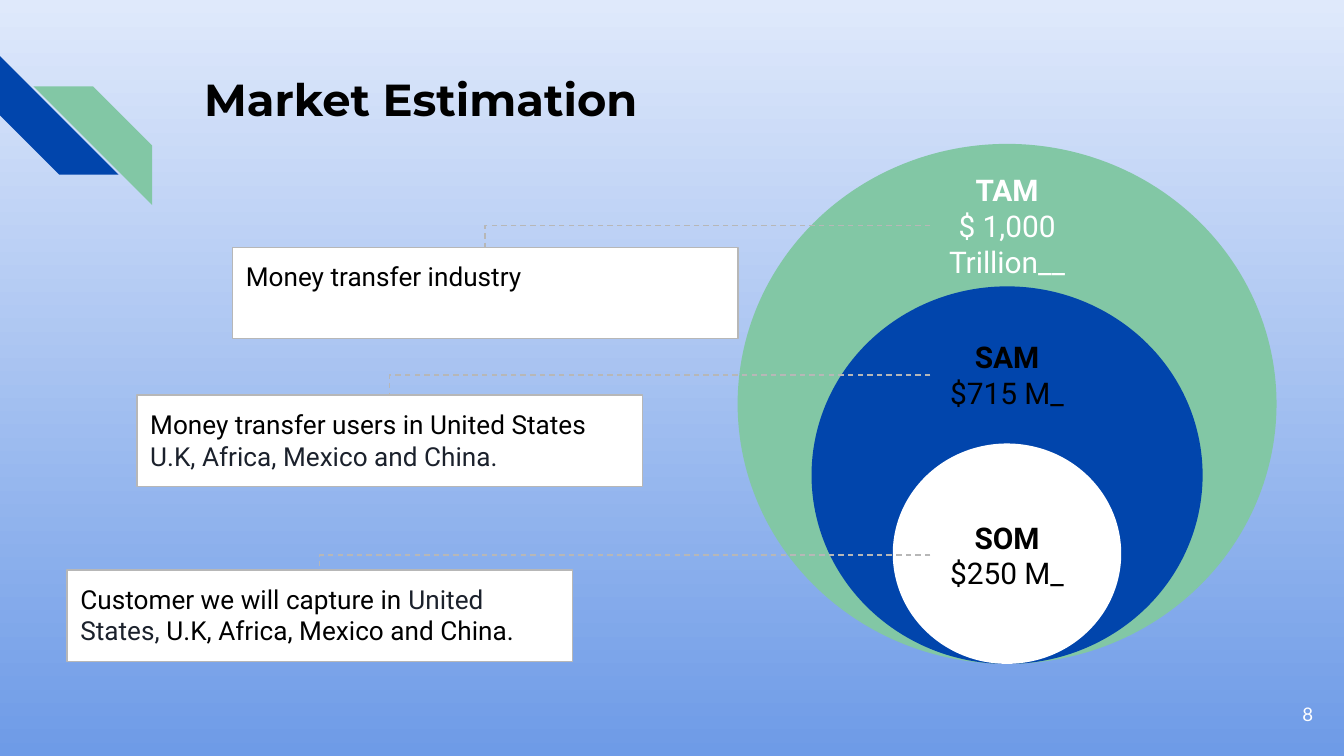
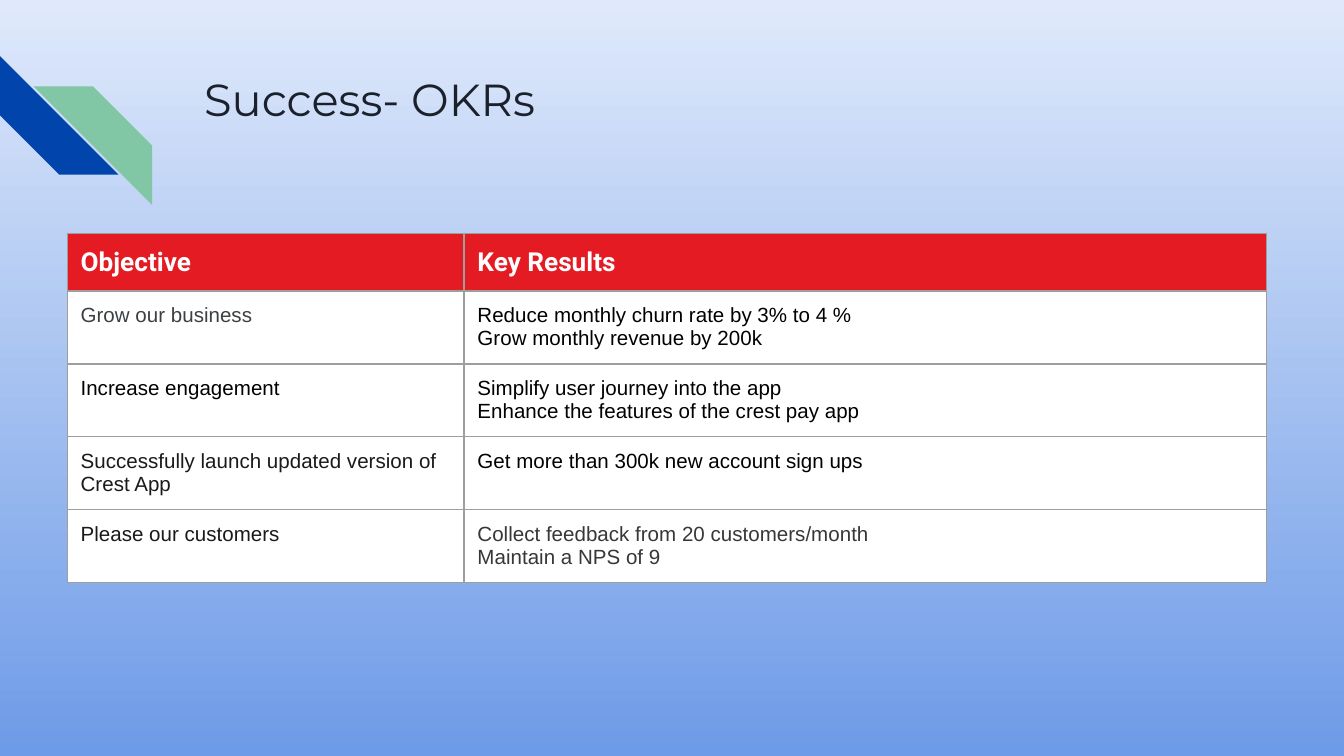
from dataclasses import dataclass

from lxml.etree import SubElement as Sub
from pptx import Presentation
from pptx.dml.color import RGBColor as RGB
from pptx.enum.dml import MSO_LINE as Dash
from pptx.enum.shapes import MSO_CONNECTOR as Conn, MSO_SHAPE as Kind
from pptx.enum.text import MSO_ANCHOR as Anchor, PP_ALIGN as Align
from pptx.oxml.ns import qn
from pptx.util import Pt


@dataclass(frozen=True)
class Theme:
    # Colours
    sky: str = "DFE9FB"
    deep: str = "6E9BE7"
    blue: str = "0145AC"
    green: str = "82C7A5"
    red: str = "E51B24"
    white: str = "FFFFFF"
    black: str = "000000"
    ink: str = "1B212C"
    coal: str = "1A1A1A"
    slate: str = "3C4043"
    smoke: str = "373737"
    rule: str = "B7B7B7"
    grid: str = "9E9E9E"
    # Fonts
    head: str = "Montserrat"
    text: str = "Roboto"
    cell: str = "Arial"
    foot: str = "Lato"
    # Type sizes and measures in points
    big: float = 24
    label: float = 16
    body: float = 14
    small: float = 11
    tiny: float = 10
    pad: float = 7.2
    thin: float = 0.75


class Deck:
    def __init__(self, theme):
        self.theme = theme
        self.prs = Presentation()
        self.prs.slide_width, self.prs.slide_height = Pt(720), Pt(405)
        self.slide = None
        # Shared gradient background
        fill = self.prs.slide_master.background.fill
        fill.gradient()
        fill.gradient_angle = 270
        for stop, tone in zip(fill.gradient_stops, (theme.sky, theme.deep)):
            stop.color.rgb = RGB.from_string(tone)

    def page(self, title, tone, bold=False):
        """Start a slide with the corner stripes and its title."""
        t = self.theme
        self.slide = self.prs.slides.add_slide(self.prs.slide_layouts[5])
        side = 63.6
        stripe = self.shape(Kind.DIAGONAL_STRIPE, 0, 30, side, side, t.blue)
        stripe.rotation = 270
        stripe = self.shape(Kind.DIAGONAL_STRIPE, 18, 46.3, side, side, t.green)
        stripe.element.spPr.find(qn("a:xfrm")).set("flipH", "1")

        head = self.slide.shapes.title
        head.left, head.top = Pt(102.2), Pt(31)
        head.width, head.height = Pt(554.4), Pt(72)
        self.type(head.text_frame, [[(title, tone, bold)]], t.big, t.head)

    def type(self, frame, paras, size, font, align=Align.LEFT,
             anchor=Anchor.TOP):
        """Fill a frame; each paragraph is a list of (text, tone, bold)."""
        frame.word_wrap = True
        frame.vertical_anchor = anchor
        pad = Pt(self.theme.pad)
        frame.margin_left = frame.margin_right = pad
        frame.margin_top = frame.margin_bottom = pad
        for i, runs in enumerate(paras):
            para = frame.add_paragraph() if i else frame.paragraphs[0]
            para.alignment = align
            for text, tone, bold in runs:
                run = para.add_run()
                run.text = text
                run.font.size, run.font.name = Pt(size), font
                run.font.bold = bold
                run.font.color.rgb = RGB.from_string(tone)

    def label(self, x, y, w, h, paras, size, font, align):
        box = self.slide.shapes.add_textbox(Pt(x), Pt(y), Pt(w), Pt(h))
        self.type(box.text_frame, paras, size, font, align, Anchor.MIDDLE)

    def shape(self, kind, x, y, w, h, fill, edge=None):
        item = self.slide.shapes.add_shape(kind, Pt(x), Pt(y), Pt(w), Pt(h))
        item.shadow.inherit = False
        item.fill.solid()
        item.fill.fore_color.rgb = RGB.from_string(fill)
        if edge:
            item.line.color.rgb = RGB.from_string(edge)
            item.line.width = Pt(self.theme.thin)
        else:
            item.line.fill.background()
        return item

    def elbow(self, x1, y1, x2, y2):
        """Dashed link that runs sideways first, then down."""
        link = self.slide.shapes.add_connector(
            Conn.ELBOW, Pt(x1), Pt(y1), Pt(x2), Pt(y2))
        link.line.color.rgb = RGB.from_string(self.theme.rule)
        link.line.width = Pt(self.theme.thin)
        link.line.dash_style = Dash.DASH
        props = link.element.spPr
        props.find(qn("a:prstGeom")).set("prst", "bentConnector2")
        Sub(props, qn("a:effectLst"))

    def border(self, cell):
        props = cell._tc.get_or_add_tcPr()
        for side in ("lnL", "lnR", "lnT", "lnB"):
            line = Sub(props, qn(f"a:{side}"), w=str(Pt(self.theme.thin)))
            Sub(Sub(line, qn("a:solidFill")), qn("a:srgbClr"),
                val=self.theme.grid)

    def table(self, x, y, cols, highs, rows):
        """Two-part rows; the second part spans all the other columns."""
        t = self.theme
        grid = self.slide.shapes.add_table(
            len(rows), len(cols), Pt(x), Pt(y),
            Pt(sum(cols)), Pt(sum(highs))).table
        grid.horz_banding = False
        for col, wide in zip(grid.columns, cols):
            col.width = Pt(wide)
        for r, (row, high) in enumerate(zip(rows, highs)):
            grid.rows[r].height = Pt(high)
            for c in range(len(cols)):
                cell = grid.cell(r, c)
                self.border(cell)
                cell.fill.solid()
                cell.fill.fore_color.rgb = RGB.from_string(
                    t.white if r else t.red)
            grid.cell(r, 1).merge(grid.cell(r, len(cols) - 1))
            size, font = (t.small, t.cell) if r else (t.body, t.text)
            for c, (tone, *lines) in enumerate(row):
                cell = grid.cell(r, c)
                paras = [[(line, tone, not r)] for line in lines]
                self.type(cell.text_frame, paras, size, font)
                cell.margin_left = cell.margin_right = Pt(t.pad)
                cell.margin_top = cell.margin_bottom = Pt(t.pad)
                cell.vertical_anchor = Anchor.TOP if r else Anchor.MIDDLE


def market(deck):
    t = deck.theme
    deck.page("Market Estimation", t.black, True)
    deck.label(667.4, 367.2, 43.2, 31, [[("8", t.white, False)]],
               t.tiny, t.foot, Align.RIGHT)

    # Nested circles that share their lowest point
    mid, base = 539.5, 355.7
    for wide, high, fill in ((288.7, 278.6, t.green), (209.5, 202.3, t.blue),
                             (122.4, 118.1, t.white)):
        deck.shape(Kind.OVAL, mid - wide / 2, base - high, wide, high, fill)

    # Each level: label, link and note
    levels = (
        ("TAM", "$ 1,000 Trillion__", t.white, 93.6, 124.6, 132.5,
         [("Money transfer industry", t.black)]),
        ("SAM", "$715 M_", t.black, 173.5, 73.4, 211.7,
         [("Money transfer users in United States ", t.black),
          ("U.K, Africa, Mexico and China.", t.ink)]),
        ("SOM", "$250 M_", t.black, 270, 36, 305.3,
         [("Customer we will capture in ", t.black),
          ("United States,", t.ink),
          (" U.K, Africa, Mexico and China.", t.black)]),
    )
    wide, high = 82, 54.7
    note_w, note_h = 270.7, 49
    for name, worth, tone, top, x, y, note in levels:
        left = mid - wide / 2
        deck.label(left, top, wide, high,
                   [[(name, tone, True)], [(worth, tone, False)]],
                   t.label, t.text, Align.CENTER)
        deck.elbow(left, top + high / 2, x + note_w / 2, y)
        box = deck.shape(Kind.RECTANGLE, x, y, note_w, note_h,
                         t.white, t.rule)
        runs = [(text, ink, False) for text, ink in note]
        deck.type(box.text_frame, [runs], t.body, t.text)


def goals(deck):
    t = deck.theme
    deck.page("Success- OKRs", t.ink)
    rows = (
        ((t.white, "Objective"), (t.white, "Key Results")),
        ((t.slate, "Grow our business"),
         (t.black, "Reduce monthly churn rate by 3% to 4 %",
          "Grow monthly revenue by 200k")),
        ((t.black, "Increase engagement"),
         (t.black, "Simplify user journey into the app",
          "Enhance the features of the crest pay app")),
        ((t.coal, "Successfully launch updated version of Crest App"),
         (t.black, "Get more than 300k new account sign ups")),
        ((t.coal, "Please our customers"),
         (t.smoke, "Collect feedback from 20 customers/month",
          "Maintain a NPS of 9")),
    )
    deck.table(36, 124.9, (212.6, 212.6, 217.2), (30.5,) + (39.1,) * 4, rows)


def main():
    deck = Deck(Theme())
    market(deck)
    goals(deck)
    deck.prs.save("out.pptx")


if __name__ == "__main__":
    main()
